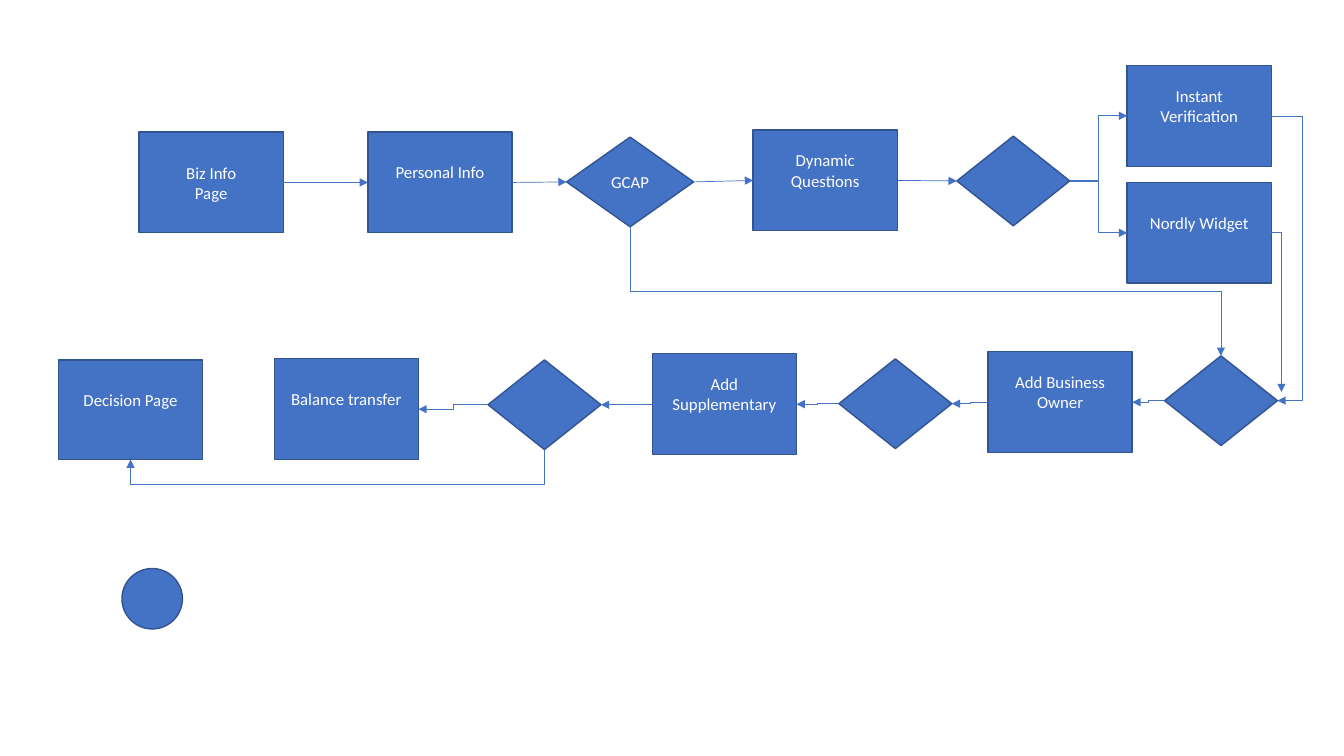
import dataclasses
import enum

import lxml.etree
import pptx
import pptx.dml.color
import pptx.enum.shapes
import pptx.enum.text
import pptx.oxml.ns
import pptx.shapes.autoshape
import pptx.shapes.connector
import pptx.slide
import pptx.util

SCALE = 9144
KIND = pptx.enum.shapes.MSO_SHAPE
ROUTE = pptx.enum.shapes.MSO_CONNECTOR
Shapes = dict[str, pptx.shapes.autoshape.Shape]


@dataclasses.dataclass(frozen=True)
class Theme:
    fill: str = "4472C4"
    edge: str = "325491"
    ink: str = "FFFFFF"
    font: str = "Calibri"
    size: float = 12
    rim: float = 1
    wire: float = 0.5


class Side(enum.IntEnum):
    TOP = 0
    LEFT = 1
    BASE = 2
    RIGHT = 3


@dataclasses.dataclass(frozen=True)
class Node:
    name: str
    left: int
    top: int
    lines: tuple[str, ...] = ()
    kind: KIND = KIND.RECTANGLE
    width: int = 143
    height: int = 100
    foot: int = 25


@dataclasses.dataclass(frozen=True)
class Link:
    start: str
    out: Side
    goal: str
    into: Side
    route: ROUTE = ROUTE.ELBOW
    bend: int = 0


def gate(name: str, left: int, top: int) -> Node:
    return Node(name, left, top, (), KIND.DIAMOND, 112, 89)


THEME = Theme()
NODES = (
    Node("biz", 138, 131, ("Biz Info", "Page"), foot=5),
    Node("person", 365, 131, ("Personal Info",)),
    Node("gcap", 562, 136, ("GCAP",), KIND.DIAMOND, 126, 89, 5),
    Node("query", 747, 129, ("Dynamic Questions",)),
    gate("extra gate", 832, 356),
    Node("instant", 1118, 65, ("Instant Verification",)),
    Node("owner", 980, 349, ("Add Business Owner",)),
    gate("owner gate", 1155, 353),
    Node("extra", 647, 351, ("Add Supplementary",)),
    gate("balance gate", 484, 357),
    Node("balance", 272, 356, ("Balance transfer",)),
    Node("widget", 1118, 181, ("Nordly Widget",)),
    gate("check gate", 949, 135),
    Node("final", 58, 357, ("Decision Page",), height=99),
    Node("dot", 121, 564, (), KIND.OVAL, 60, 60),
)
LINKS = (
    Link("biz", Side.RIGHT, "person", Side.LEFT, ROUTE.STRAIGHT),
    Link("person", Side.RIGHT, "gcap", Side.LEFT, ROUTE.STRAIGHT),
    Link("gcap", Side.RIGHT, "query", Side.LEFT, ROUTE.STRAIGHT),
    Link("query", Side.RIGHT, "check gate", Side.LEFT, ROUTE.STRAIGHT),
    Link("gcap", Side.BASE, "owner gate", Side.TOP),
    Link("check gate", Side.RIGHT, "instant", Side.LEFT),
    Link("check gate", Side.RIGHT, "widget", Side.LEFT),
    Link("instant", Side.RIGHT, "owner gate", Side.RIGHT, bend=31),
    Link("owner gate", Side.LEFT, "owner", Side.RIGHT),
    Link("owner", Side.LEFT, "extra gate", Side.RIGHT),
    Link("extra gate", Side.LEFT, "extra", Side.RIGHT),
    Link("extra", Side.LEFT, "balance gate", Side.RIGHT),
    Link("balance gate", Side.LEFT, "balance", Side.RIGHT),
    Link("balance gate", Side.BASE, "final", Side.BASE, bend=35),
)


def px(count: int) -> pptx.util.Emu:
    return pptx.util.Emu(count * SCALE)


def tint(code: str) -> pptx.dml.color.RGBColor:
    return pptx.dml.color.RGBColor.from_string(code)


def add_node(slide: pptx.slide.Slide, node: Node) -> pptx.shapes.autoshape.Shape:
    shape = slide.shapes.add_shape(
        node.kind, px(node.left), px(node.top), px(node.width), px(node.height)
    )
    shape.shadow.inherit = False
    shape.fill.solid()
    shape.fill.fore_color.rgb = tint(THEME.fill)
    shape.line.color.rgb = tint(THEME.edge)
    shape.line.width = pptx.util.Pt(THEME.rim)
    frame = shape.text_frame
    frame.word_wrap = True
    frame.vertical_anchor = pptx.enum.text.MSO_ANCHOR.MIDDLE
    frame.margin_bottom = px(node.foot)
    for spot, words in enumerate(node.lines):
        para = frame.add_paragraph() if spot else frame.paragraphs[0]
        para.alignment = pptx.enum.text.PP_ALIGN.CENTER
        run = para.add_run()
        run.text = words
        run.font.name = THEME.font
        run.font.size = pptx.util.Pt(THEME.size)
        run.font.color.rgb = tint(THEME.ink)
    return shape


def style(wire: pptx.shapes.connector.Connector) -> None:
    wire.line.color.rgb = tint(THEME.fill)
    wire.line.width = pptx.util.Pt(THEME.wire)
    props = wire.element.spPr
    qn = pptx.oxml.ns.qn
    lxml.etree.SubElement(props.find(qn("a:ln")), qn("a:tailEnd"), type="triangle")
    lxml.etree.SubElement(props, qn("a:effectLst"))


def turn(wire: pptx.shapes.connector.Connector) -> None:
    wide = wire.end_x - wire.begin_x
    tall = wire.end_y - wire.begin_y
    mid_x = (wire.begin_x + wire.end_x) // 2
    mid_y = (wire.begin_y + wire.end_y) // 2
    wire.begin_x = pptx.util.Emu(mid_x - tall // 2)
    wire.begin_y = pptx.util.Emu(mid_y + wide // 2)
    wire.end_x = pptx.util.Emu(mid_x + tall // 2)
    wire.end_y = pptx.util.Emu(mid_y - wide // 2)
    wire.element.spPr.find(pptx.oxml.ns.qn("a:xfrm")).set("rot", "5400000")


def add_link(slide: pptx.slide.Slide, shapes: Shapes, link: Link) -> None:
    wire = slide.shapes.add_connector(link.route, 0, 0, 0, 0)
    wire.begin_connect(shapes[link.start], link.out)
    wire.end_connect(shapes[link.goal], link.into)
    if link.out == Side.BASE:
        turn(wire)
    if link.bend:
        qn = pptx.oxml.ns.qn
        shift = round(px(link.bend) / wire.width * 100000)
        guides = wire.element.spPr.find(qn("a:prstGeom")).find(qn("a:avLst"))
        lxml.etree.SubElement(guides, qn("a:gd"), name="adj1", fmla=f"val {shift}")
    style(wire)


def add_drop(slide: pptx.slide.Slide, shapes: Shapes) -> None:
    wire = slide.shapes.add_connector(ROUTE.ELBOW, 0, 0, px(1271), px(389))
    wire.begin_connect(shapes["widget"], Side.RIGHT)
    wire.element.spPr.find(pptx.oxml.ns.qn("a:prstGeom")).set("prst", "bentConnector2")
    style(wire)


def main() -> None:
    deck = pptx.Presentation()
    deck.slide_width = px(1333)
    deck.slide_height = px(750)
    slide = deck.slides.add_slide(deck.slide_layouts[6])
    shapes = {node.name: add_node(slide, node) for node in NODES}
    for link in LINKS:
        add_link(slide, shapes, link)
    add_drop(slide, shapes)
    deck.save("out.pptx")


if __name__ == "__main__":
    main()
